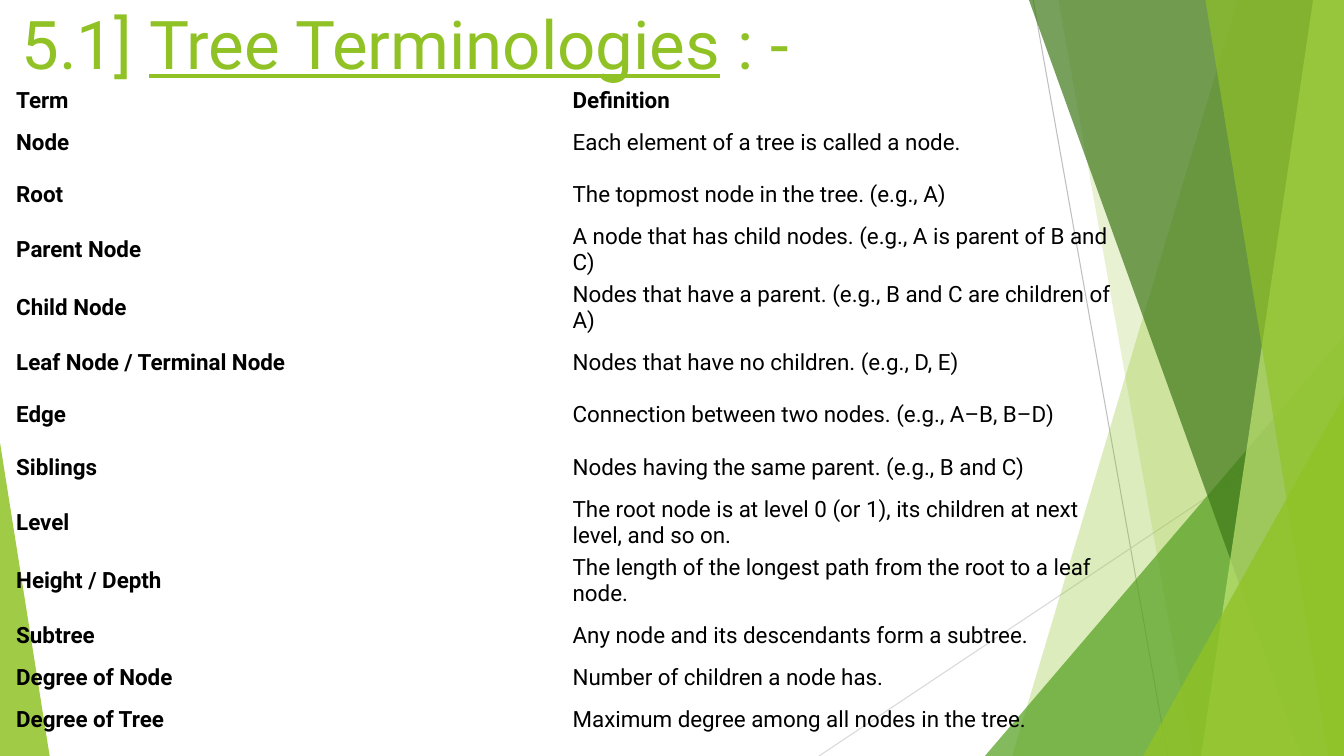
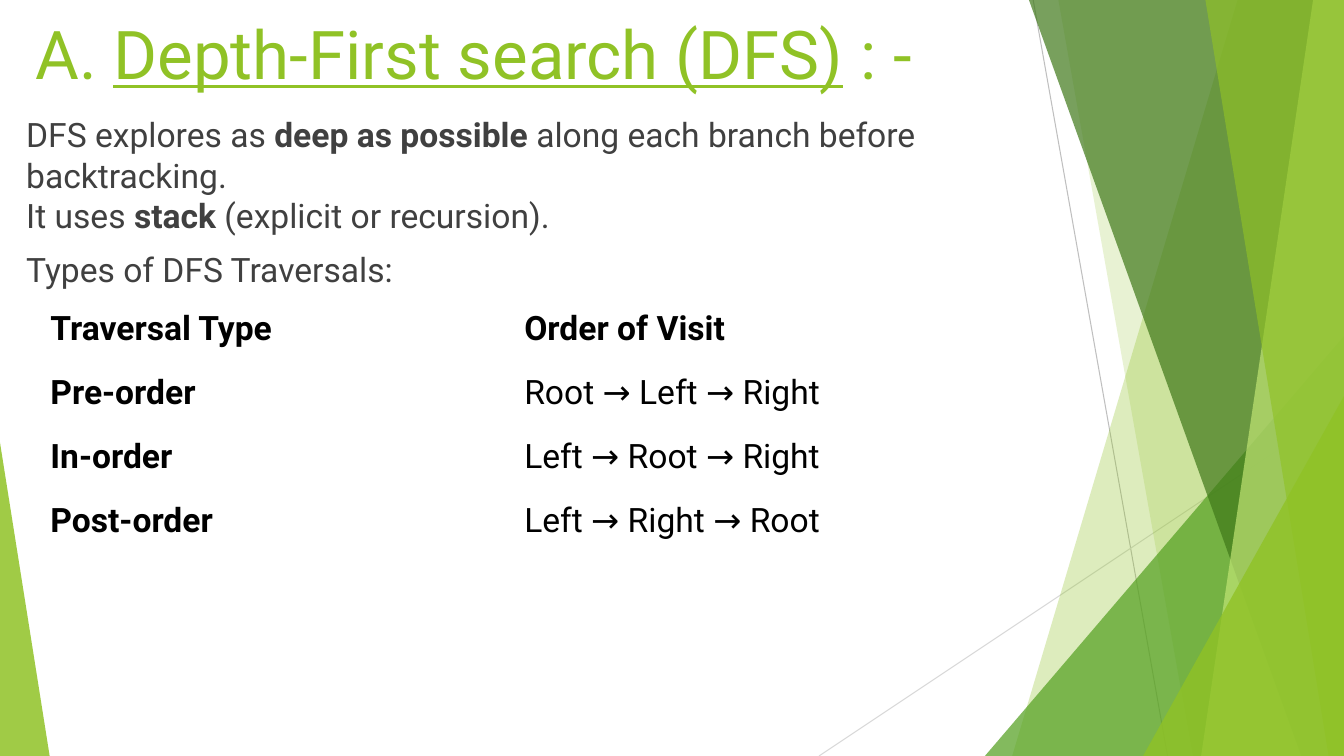
from typing import NamedTuple

from lxml import etree
from pptx import Presentation
from pptx import util as u
from pptx.dml.color import RGBColor
from pptx.enum import shapes, text
from pptx.oxml.ns import qn

Pt = u.Pt
WIDTH, HEIGHT = 960, 540
FONT = "Roboto"
TITLE_SUFFIX = " : -"
PLAIN_TABLE_STYLE = "{2D5ABB26-0587-4C30-8999-92F81FD0307C}"
COLORS = {
    "lime": "90C226",
    "green": "54A021",
    "forest": "3F7819",
    "pale": "C0E474",
    "body": "404040",
    "table": "000000",
    "steep line": "BFBFBF",
    "shallow line": "D9D9D9",
}


class Box(NamedTuple):
    left: float
    top: float
    width: float
    height: float


class Ray(NamedTuple):
    start: tuple[float, float]
    end: tuple[float, float]
    color: str


class Band(NamedTuple):
    """A full-height area from a slanted left edge to the right slide edge."""
    top_x: float
    bottom_x: float
    color: str
    opacity: int


class Wedge(NamedTuple):
    """A right triangle standing on the bottom slide edge."""
    left: float
    top: float
    width: float
    apex: float
    color: str
    opacity: int


class Span(NamedTuple):
    text: str
    bold: bool = False


class TableLook(NamedTuple):
    size: float
    margin_x: float
    margin_y: float


RAYS = [
    Ray((738, 0), (834, HEIGHT), "steep line"),
    Ray((WIDTH, 290), (585, HEIGHT), "shallow line"),
]
FACETS = [
    Band(884, 723, "lime", 30),
    Band(756, 852, "lime", 20),
    Wedge(703.5, 240, 256.5, 1, "green", 72),
    Band(735, 929.5, "forest", 70),
    Band(938, 858, "pale", 70),
    Band(861, 949, "lime", 65),
    Wedge(816.5, 283, 143.5, 1, "lime", 80),
    Wedge(0, 316, 35.5, 0, "lime", 85),
]

TERMS = [
    ("Term", "Definition"),
    ("Node", "Each element of a tree is called a node."),
    ("Root", "The topmost node in the tree. (e.g., A)"),
    ("Parent Node", "A node that has child nodes. (e.g., A is parent of B and C)"),
    ("Child Node", "Nodes that have a parent. (e.g., B and C are children of A)"),
    ("Leaf Node / Terminal Node", "Nodes that have no children. (e.g., D, E)"),
    ("Edge", "Connection between two nodes. (e.g., A–B, B–D)"),
    ("Siblings", "Nodes having the same parent. (e.g., B and C)"),
    ("Level", "The root node is at level 0 (or 1), its children at next level, and so on."),
    ("Height / Depth", "The length of the longest path from the root to a leaf node."),
    ("Subtree", "Any node and its descendants form a subtree."),
    ("Degree of Node", "Number of children a node has."),
    ("Degree of Tree", "Maximum degree among all nodes in the tree."),
]
SHORT_TERMS = {"Term", "Degree of Node"}

TRAVERSALS = [
    ("Traversal Type", "Order of Visit"),
    ("Pre-order", "Root → Left → Right"),
    ("In-order", "Left → Root → Right"),
    ("Post-order", "Left → Right → Root"),
]

DFS_INTRO = [
    [
        [Span("DFS explores as "), Span("deep as possible", True),
         Span(" along each branch before backtracking.")],
        [Span("It uses "), Span("stack", True), Span(" (explicit or recursion).")],
    ],
    [[Span("Types of DFS Traversals:")]],
]


def rgb(name: str) -> RGBColor:
    return RGBColor.from_string(COLORS[name])


def set_font(paragraph, size: float, color: str) -> None:
    paragraph.font.name = FONT
    paragraph.font.size = Pt(size)
    paragraph.font.color.rgb = rgb(color)


def place(placeholder, box: Box):
    """Moves a placeholder and returns its text frame, centred vertically."""
    placeholder.left, placeholder.top, placeholder.width, placeholder.height = map(Pt, box)
    frame = placeholder.text_frame
    frame.word_wrap = True
    frame.auto_size = text.MSO_AUTO_SIZE.NONE
    frame.vertical_anchor = text.MSO_ANCHOR.MIDDLE
    return frame


def draw_ray(group, ray: Ray) -> None:
    line = group.shapes.add_connector(
        shapes.MSO_CONNECTOR.STRAIGHT, *map(Pt, ray.start + ray.end))
    line.line.color.rgb = rgb(ray.color)
    line.line.width = Pt(0.75)
    etree.SubElement(line.element.spPr, qn("a:effectLst"))


def draw_facet(group, facet: Band | Wedge) -> None:
    if isinstance(facet, Band):
        outline = group.shapes.build_freeform(Pt(facet.top_x), 0)
        corners = [(WIDTH, 0), (WIDTH, HEIGHT), (facet.bottom_x, HEIGHT)]
        outline.add_line_segments([(Pt(x), Pt(y)) for x, y in corners], close=True)
        shape = outline.convert_to_shape()
    else:
        shape = group.shapes.add_shape(
            shapes.MSO_SHAPE.ISOSCELES_TRIANGLE, Pt(facet.left), Pt(facet.top),
            Pt(facet.width), Pt(HEIGHT - facet.top))
        shape.adjustments[0] = facet.apex
    shape.shadow.inherit = False
    shape.line.fill.background()
    shape.fill.solid()
    shape.fill.fore_color.rgb = rgb(facet.color)
    color = shape.element.spPr.find(qn("a:solidFill"))[0]
    etree.SubElement(color, qn("a:alpha"), val=str(facet.opacity * 1000))


def decorate_master(prs, slide) -> None:
    """Draws the facets as a group and moves it behind the master's placeholders."""
    group = slide.shapes.add_group_shape()
    for ray in RAYS:
        draw_ray(group, ray)
    for facet in FACETS:
        draw_facet(group, facet)
    prs.slide_master.shapes.element.insert(2, group.element)


def write_title(slide, box: Box, number: str, heading: str) -> None:
    paragraph = place(slide.shapes.title, box).paragraphs[0]
    paragraph.alignment = text.PP_ALIGN.LEFT
    set_font(paragraph, 48, "lime")
    for part in (number, heading, TITLE_SUFFIX):
        run = paragraph.add_run()
        run.text = part
        run.font.underline = part == heading


def write_body(slide, box: Box, paragraphs: list[list[list[Span]]]) -> None:
    frame = place(slide.placeholders[1], box)
    for index, lines in enumerate(paragraphs):
        paragraph = frame.add_paragraph() if index else frame.paragraphs[0]
        properties = paragraph._p.get_or_add_pPr()
        properties.set("marL", "0")
        properties.set("indent", "0")
        etree.SubElement(properties, qn("a:buNone"))
        paragraph.space_before = Pt(10 if index else 0)
        set_font(paragraph, 24, "body")
        for line_index, spans in enumerate(lines):
            if line_index:
                paragraph.add_line_break()
            for span in spans:
                run = paragraph.add_run()
                run.text = span.text
                run.font.bold = span.bold


def add_plain_table(slide, box: Box, rows: list[tuple[str, str]],
                    heights: list[float], look: TableLook) -> None:
    """Adds a table without fills or rules; header row and first column are bold."""
    frame = slide.shapes.add_table(len(rows), len(rows[0]), *map(Pt, box))
    for style in frame.element.iter(qn("a:tableStyleId")):
        style.text = PLAIN_TABLE_STYLE
    table = frame.table
    table.first_row = table.horz_banding = False
    for r, (row, height) in enumerate(zip(rows, heights)):
        table.rows[r].height = Pt(height)
        for c, content in enumerate(row):
            cell = table.cell(r, c)
            cell.fill.background()
            cell.vertical_anchor = text.MSO_ANCHOR.MIDDLE
            cell.margin_left = cell.margin_right = Pt(look.margin_x)
            cell.margin_top = cell.margin_bottom = Pt(look.margin_y)
            cell.text = content
            paragraph = cell.text_frame.paragraphs[0]
            set_font(paragraph, look.size, "table")
            paragraph.font.bold = r == 0 or c == 0


def build_terms(slide) -> None:
    write_title(slide, Box(8, -13, 716, 86.5), "5.1] ", "Tree Terminologies")
    heights = [21.6 if term in SHORT_TERMS else 37.5 for term, _ in TERMS]
    add_plain_table(slide, Box(8, 60.5, 795, sum(heights)), TERMS, heights,
                    TableLook(16, 3.6, 2))


def build_dfs(slide) -> None:
    write_title(slide, Box(18, 0, 677, 75.5), "A. ", "Depth-First search (DFS)")
    write_body(slide, Box(11.5, 47, 732, 194.5), DFS_INTRO)
    heights = [45.6] * len(TRAVERSALS)
    add_plain_table(slide, Box(28.8, 212.5, 677, sum(heights)), TRAVERSALS, heights,
                    TableLook(24, 7.2, 3.6))


def main() -> None:
    prs = Presentation()
    prs.slide_width, prs.slide_height = Pt(WIDTH), Pt(HEIGHT)
    title_only = prs.slide_layouts.get_by_name("Title Only")
    title_and_content = prs.slide_layouts.get_by_name("Title and Content")
    terms = prs.slides.add_slide(title_only)
    decorate_master(prs, terms)
    build_terms(terms)
    build_dfs(prs.slides.add_slide(title_and_content))
    prs.save("out.pptx")


if __name__ == "__main__":
    main()
